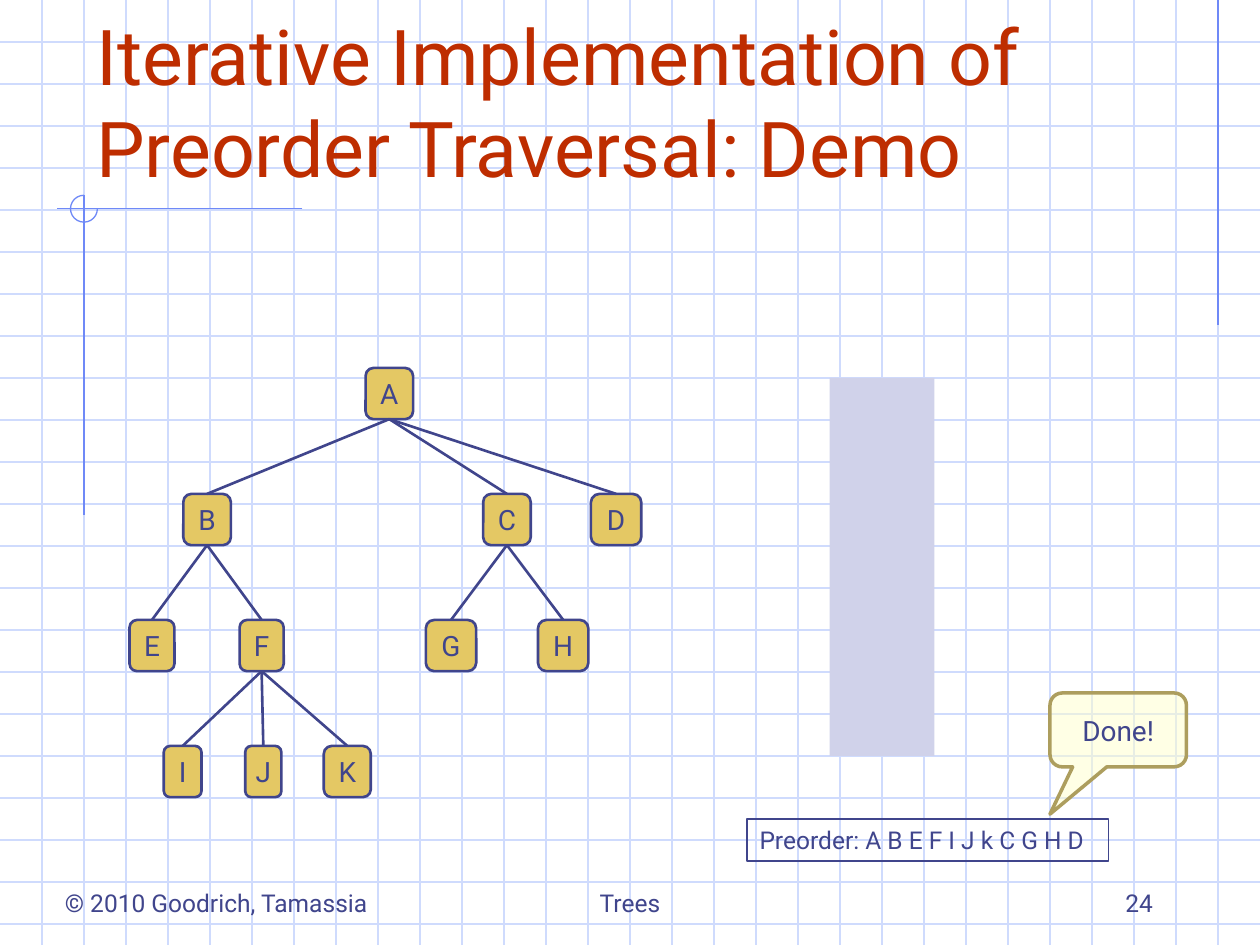
from pptx import Presentation
from pptx.dml.color import RGBColor
from pptx.enum.shapes import MSO_CONNECTOR, MSO_SHAPE
from pptx.enum.text import MSO_ANCHOR, PP_ALIGN
from pptx.oxml.ns import qn
from pptx.util import Inches, Pt
from lxml.etree import SubElement

COLORS = {"grid": "CFDBFD", "accent": "6F89F7", "title": "BE2D00", "ink": "40458C",
          "node": "E4C864", "stack": "D0D2EA", "note": "FFFFCC", "note_edge": "AD9E5E"}
COLUMNS, ROWS = 30, 22.5
CELL = Inches(1) / 3  # one square of the graph paper

prs = Presentation()
prs.slide_width, prs.slide_height = round(COLUMNS * CELL), round(ROWS * CELL)
slide = prs.slides.add_slide(prs.slide_layouts[6])
shapes = slide.shapes


def add_line(x1, y1, x2, y2, color, width=0.75):
    """Draw a straight line between two points given in grid cells."""
    line = shapes.add_connector(MSO_CONNECTOR.STRAIGHT,
                                *(round(n * CELL) for n in (x1, y1, x2, y2)))
    line.line.color.rgb = RGBColor.from_string(COLORS[color])
    line.line.width = Pt(width)
    SubElement(line._element.spPr, qn("a:effectLst"))
    return line


def add_box(kind, area, fill=None, edge=None, width=0.75, text="", size=14,
            color="ink", align=PP_ALIGN.CENTER, anchor=MSO_ANCHOR.MIDDLE, wrap=True):
    """Add a shape, or a text box if kind is None; area is in grid cells."""
    place = [round(n * CELL) for n in area]
    if kind is None:
        box = shapes.add_textbox(*place)
    else:
        box = shapes.add_shape(kind, *place)
        box.shadow.inherit = False
    if fill:
        box.fill.solid()
        box.fill.fore_color.rgb = RGBColor.from_string(COLORS[fill])
    else:
        box.fill.background()
    if edge:
        box.line.color.rgb = RGBColor.from_string(COLORS[edge])
        box.line.width = Pt(width)
    else:
        box.line.fill.background()
    if text:
        frame = box.text_frame
        frame.word_wrap, frame.vertical_anchor = wrap, anchor
        paragraph = frame.paragraphs[0]
        paragraph.text, paragraph.alignment = text, align
        paragraph.font.name, paragraph.font.size = "Roboto", Pt(size)
        paragraph.font.color.rgb = RGBColor.from_string(COLORS[color])
    return box


# Graph paper
for row in range(1, 23):
    add_line(0, row, COLUMNS, row, "grid")
for column in range(1, COLUMNS):
    add_line(column, 0, column, ROWS, "grid")

# Margin rules and the three-quarter circle at their corner
add_line(29, 0, 29, 7.75, "accent")
add_line(7.2, 4.97, 1.35, 4.97, "accent")
add_line(2, 4.65, 2, 12.27, "accent")
corner = add_box(MSO_SHAPE.ARC, (1.68, 4.65, 0.64, 0.64), edge="accent")
corner.adjustments[0], corner.adjustments[1] = 0, 162

# Title
add_box(None, (2, 1, 25.5, 3.75), text="Iterative Implementation of Preorder Traversal: Demo",
        size=44, color="title", align=PP_ALIGN.LEFT, anchor=MSO_ANCHOR.BOTTOM)

# Footer
for left, width, words, align in [
    (1.25, 8.25, "© 2010 Goodrich, Tamassia", PP_ALIGN.LEFT),
    (10.25, 9.5, "Trees", PP_ALIGN.CENTER),
    (21.5, 6.25, "24", PP_ALIGN.RIGHT),
]:
    add_box(None, (left, 20.5, width, 1.5), text=words, align=align, anchor=MSO_ANCHOR.BOTTOM)

# Tree nodes: centre column and width, level by level
levels = [
    {"A": (9.27, 1.13)},
    {"B": (4.93, 1.13), "C": (12.07, 1.13), "D": (14.67, 1.2)},
    {"E": (3.62, 1.07), "F": (6.23, 1.05), "G": (10.74, 1.2), "H": (13.41, 1.2)},
    {"I": (4.35, 0.9), "J": (6.27, 0.86), "K": (8.27, 1.12)},
]
nodes = {}
for depth, level in enumerate(levels):
    for letter, (center, width) in level.items():
        nodes[letter] = add_box(
            MSO_SHAPE.ROUNDED_RECTANGLE, (center - width / 2, 8.76 + 3 * depth, width, 1.22),
            fill="node", edge="ink", width=1.5, text=letter, size=16, wrap=False)

# Tree edges, from the bottom of a parent to the top of each child
for parent, children in {"A": "BCD", "B": "EF", "C": "GH", "F": "IJK"}.items():
    for child in children:
        edge = add_line(0, 0, 1, 1, "ink", 1.5)
        edge.begin_connect(nodes[parent], 2)
        edge.end_connect(nodes[child], 0)

# Empty stack and the visiting order
add_box(MSO_SHAPE.RECTANGLE, (19.75, 9, 2.5, 9), fill="stack")
add_box(MSO_SHAPE.RECTANGLE, (17.79, 19.5, 8.61, 1), edge="ink",
        text="Preorder: A B E F I J k C G H D", align=PP_ALIGN.LEFT, anchor=MSO_ANCHOR.TOP)

# Closing remark, half transparent
remark = add_box(MSO_SHAPE.ROUNDED_RECTANGULAR_CALLOUT, (25, 16.5, 3.25, 1.76),
                 fill="note", edge="note_edge", width=2, text="Done!", size=16)
remark.adjustments[0], remark.adjustments[1] = -0.5, 1.14
fill_color = remark._element.spPr.find(qn("a:solidFill"))[0]
SubElement(fill_color, qn("a:alpha"), val="50000")

prs.save("out.pptx")
